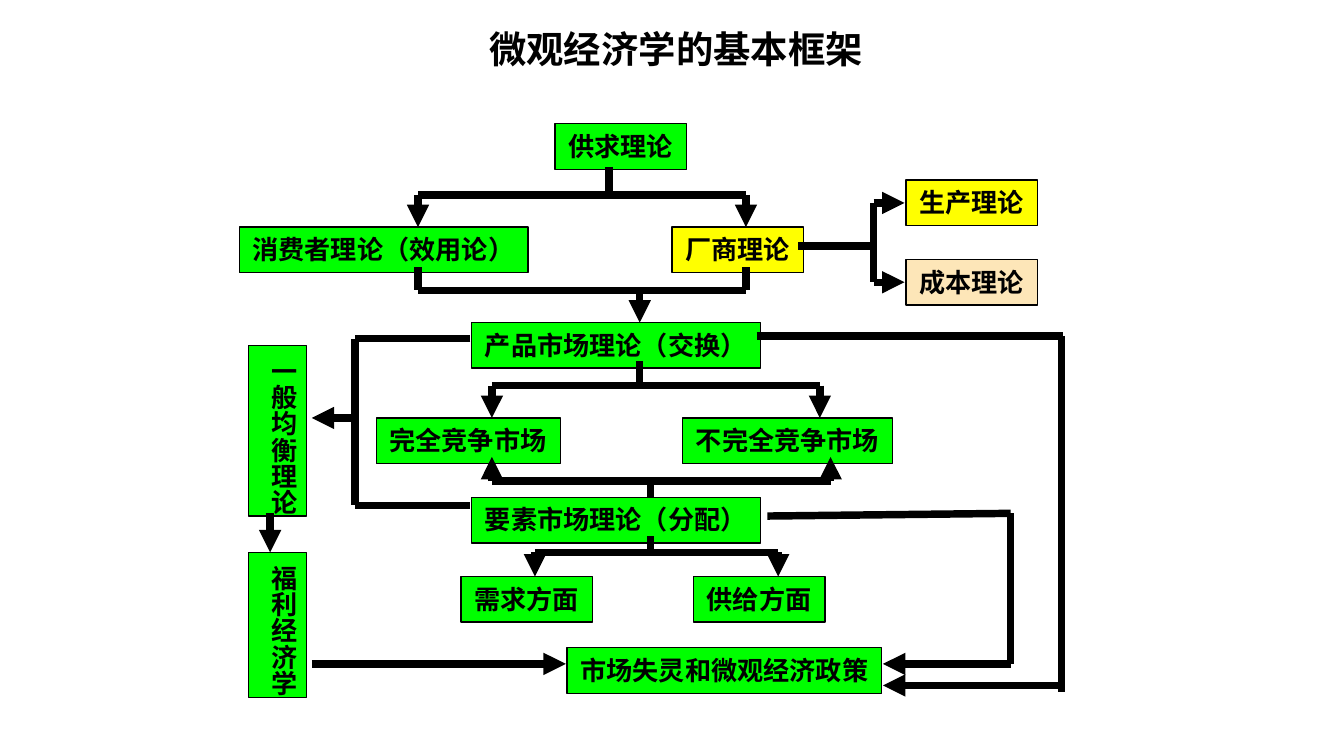
"""Build a one-slide map of the basic framework of microeconomics."""
from itertools import pairwise

from lxml.etree import SubElement
from pptx import Presentation
from pptx.dml.color import RGBColor
from pptx.enum.shapes import MSO_CONNECTOR, MSO_SHAPE
from pptx.enum.text import MSO_ANCHOR, PP_ALIGN
from pptx.oxml.ns import qn
from pptx.util import Inches, Pt

PX = 9144
COLORS = {"green": "00FF00", "yellow": "FFFF00", "cream": "FDE6B8", "black": "000000"}
LATIN, CHINESE = "Calibri", "Noto Sans CJK SC"
BOX_HEIGHT, COLUMN_WIDTH = 34, 43

TITLE = " 微观经济学的基本框架"
THEORIES = [
    ("供求理论", 413, 92, 98, "green"),
    ("厂商理论", 500, 169, 98, "yellow"),
    ("生产理论", 674, 134, 98, "yellow"),
    ("成本理论", 674, 193, 98, "cream"),
    ("产品市场理论（交换）", 351, 240, 215, "green"),
    ("消费者理论（效用论）", 178, 169, 215, "green"),
    ("不完全竞争市场", 508, 311, 156, "green"),
    ("完全竞争市场", 280, 311, 137, "green"),
    ("要素市场理论（分配）", 351, 370, 215, "green"),
    ("需求方面", 343, 429, 98, "green"),
    ("供给方面", 516, 429, 98, "green"),
    ("市场失灵和微观经济政策", 422, 482, 234, "green"),
]
COLUMNS = [("一般均衡理论", 185, 257, 127), ("福利经济学", 185, 411, 108)]

FORKS = [
    {"stem": (453, 124), "bar": 145, "ends": (311, 555), "tip": 169},
    {"stem": (476, 269), "bar": 287, "ends": (366, 610), "tip": 311},
    {"stem": (484, 370), "bar": 358, "ends": (366, 618), "tip": 340},
    {"stem": (484, 399), "bar": 411, "ends": (398, 579), "tip": 429},
]
PLAIN_ROUTES = [
    [(311, 199), (311, 216), (555, 216), (555, 199)],
    [(594, 183), (650, 183)],
    [(650, 151), (650, 210)],
    [(350, 252), (264, 252), (264, 376), (350, 376)],
    [(563, 250), (791, 250)],
    [(790, 250), (790, 515)],
]
ARROW_ROUTES = [
    [(476, 216), (476, 240)],
    [(650, 151), (673, 151)],
    [(650, 210), (673, 210)],
    [(264, 311), (232, 311)],
    [(201, 382), (201, 411)],
    [(232, 494), (421, 494)],
    [(791, 510), (657, 510)],
    [(571, 384), (752, 382), (752, 494), (657, 494)],
]


def color(name):
    return RGBColor.from_string(COLORS[name])


def write(frame, text, size=14, latin=LATIN, align=PP_ALIGN.LEFT,
          anchor=MSO_ANCHOR.TOP, margins=(10, 5), wrap=False):
    frame.word_wrap = wrap
    frame.vertical_anchor = anchor
    frame.margin_left = frame.margin_right = margins[0] * PX
    frame.margin_top = frame.margin_bottom = margins[1] * PX
    paragraph = frame.paragraphs[0]
    paragraph.alignment = align
    run = paragraph.add_run()
    run.text = text
    run.font.size, run.font.bold, run.font.name = Pt(size), True, latin
    run.font.color.rgb = color("black")
    SubElement(run.font._element, qn("a:ea")).set("typeface", CHINESE)


def add_box(slide, text, left, top, width, height, fill, vertical=False):
    box = slide.shapes.add_shape(
        MSO_SHAPE.RECTANGLE, *(length * PX for length in (left, top, width, height)))
    box.shadow.inherit = False
    box.fill.solid()
    box.fill.fore_color.rgb = color(fill)
    box.line.color.rgb = color("black")
    box.line.width = Pt(0.75)
    write(box.text_frame, text, margins=(5, 5) if vertical else (10, 5))
    if vertical:
        box.text_frame._txBody.bodyPr.set("vert", "eaVert")


def add_route(slide, points, arrow=False):
    for start, end in pairwise(points):
        link = slide.shapes.add_connector(
            MSO_CONNECTOR.STRAIGHT, *(length * PX for length in start + end))
        link.line.color.rgb = color("black")
        link.line.width = Pt(4)
        properties = link._element.spPr
        SubElement(properties, qn("a:effectLst"))
        if arrow and end == points[-1]:
            SubElement(properties.find(qn("a:ln")), qn("a:tailEnd")).set("type", "triangle")


def add_fork(slide, stem, bar, ends, tip):
    add_route(slide, [stem, (stem[0], bar)])
    add_route(slide, [(x, bar) for x in ends])
    for x in ends:
        add_route(slide, [(x, bar), (x, tip)], arrow=True)


def main():
    deck = Presentation()
    deck.slide_width, deck.slide_height = Inches(10), Inches(5.625)
    slide = deck.slides.add_slide(deck.slide_layouts[5])
    title = slide.shapes.title
    title.left, title.top, title.width, title.height = 50 * PX, 15 * PX, 900 * PX, 42 * PX
    write(title.text_frame, TITLE, size=20, latin=CHINESE, align=PP_ALIGN.CENTER,
          anchor=MSO_ANCHOR.MIDDLE, wrap=True)
    for text, left, top, width, fill in THEORIES:
        add_box(slide, text, left, top, width, BOX_HEIGHT, fill)
    for text, left, top, height in COLUMNS:
        add_box(slide, text, left, top, COLUMN_WIDTH, height, "green", vertical=True)
    for fork in FORKS:
        add_fork(slide, **fork)
    for points in PLAIN_ROUTES:
        add_route(slide, points)
    for points in ARROW_ROUTES:
        add_route(slide, points, arrow=True)
    deck.save("out.pptx")


if __name__ == "__main__":
    main()
